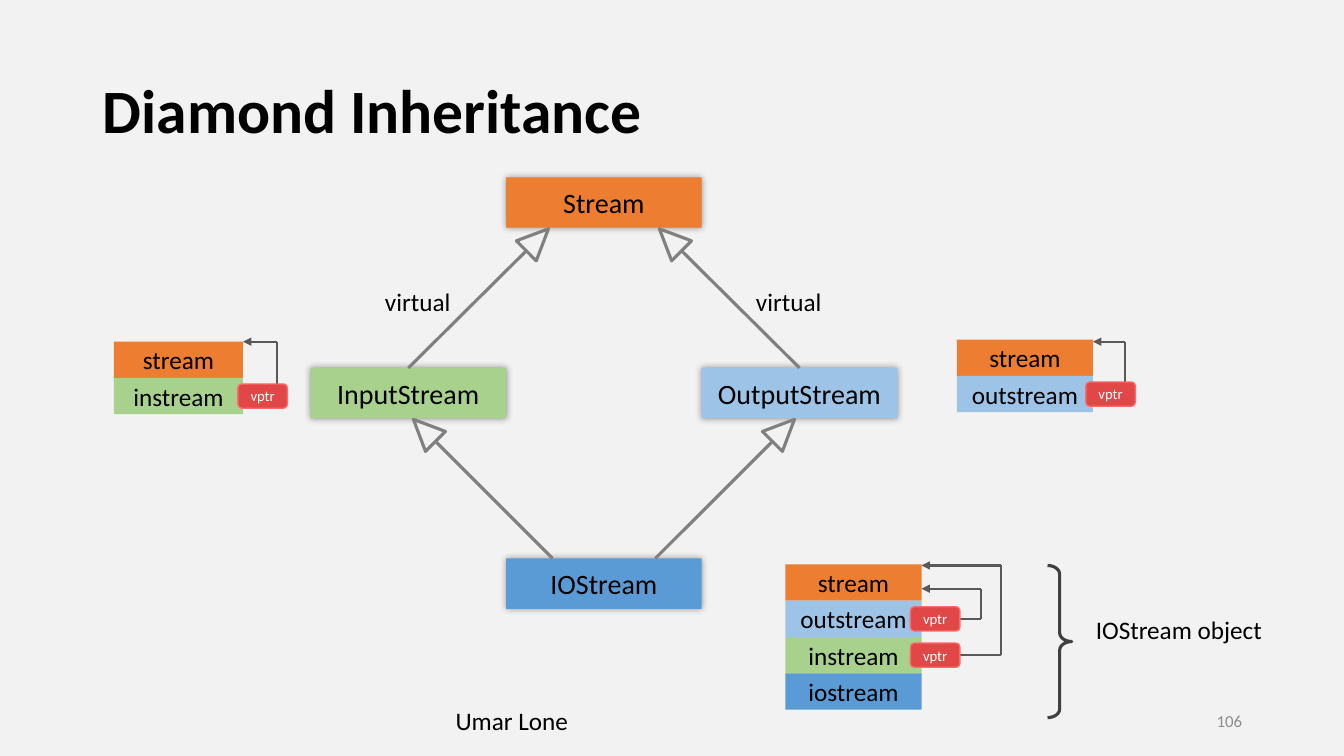
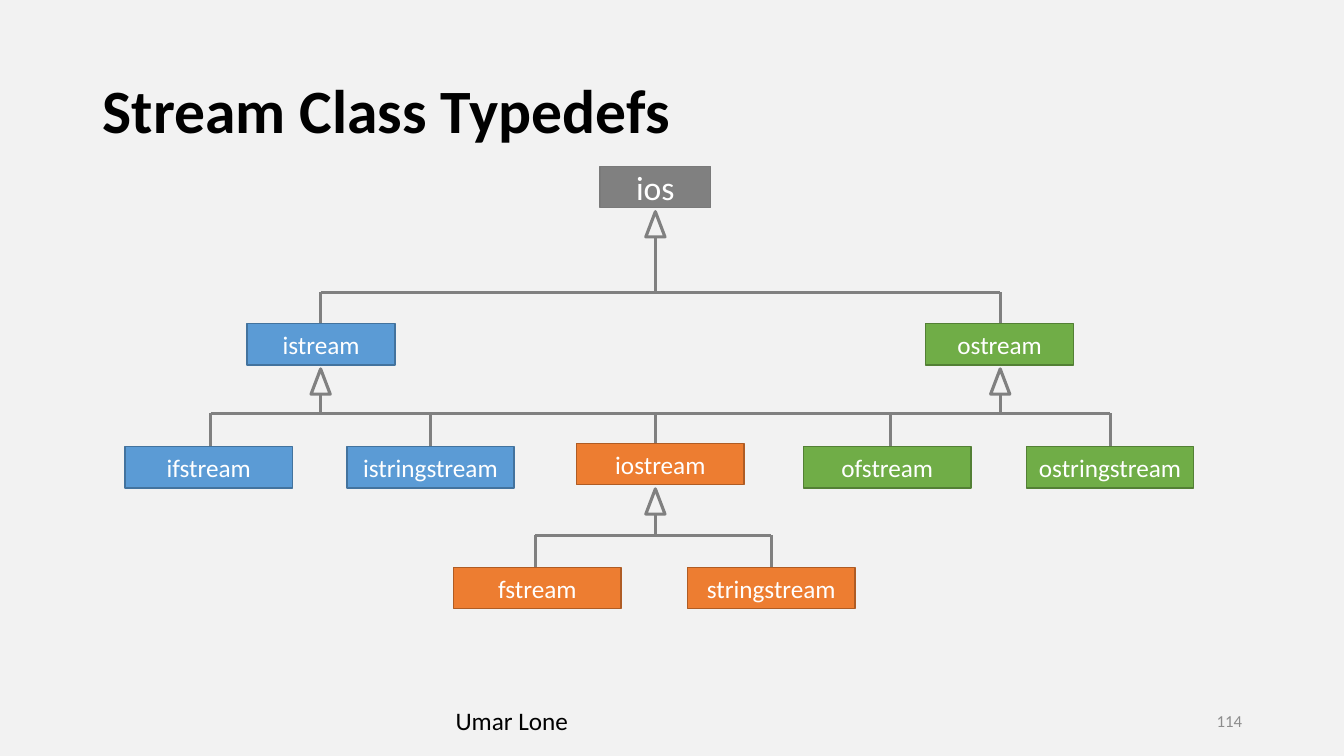
import math

from lxml import etree
from pptx import Presentation
from pptx import util as u
from pptx.dml.color import RGBColor
from pptx.enum import shapes, text
from pptx.oxml import ns

# Shared look
FONT = "Calibri"
BACKGROUND = RGBColor(0xF2, 0xF2, 0xF2)
BLACK = RGBColor(0, 0, 0)
WHITE = RGBColor(0xFF, 0xFF, 0xFF)
NUMBER_GRAY = RGBColor(0x8C, 0x8C, 0x8C)
GRAY = RGBColor(0x80, 0x80, 0x80)
GRAY_EDGE = RGBColor(0x7A, 0x7A, 0x7A)
POINTER_GRAY = RGBColor(0x59, 0x59, 0x59)
BRACE_GRAY = RGBColor(0x40, 0x40, 0x40)
ORANGE = RGBColor(0xED, 0x7D, 0x31)
ORANGE_EDGE = RGBColor(0xAF, 0x5C, 0x24)
BLUE = RGBColor(0x5B, 0x9B, 0xD5)
BLUE_EDGE = RGBColor(0x43, 0x73, 0x9E)
LIGHT_BLUE = RGBColor(0x9D, 0xC3, 0xE6)
GREEN = RGBColor(0x70, 0xAD, 0x47)
GREEN_EDGE = RGBColor(0x53, 0x80, 0x35)
LIGHT_GREEN = RGBColor(0xA9, 0xD1, 0x8E)
RED = RGBColor(0xE1, 0x47, 0x47)
RED_EDGE = RGBColor(0xFF, 0x69, 0x69)
EDGES = {GRAY: GRAY_EDGE, BLUE: BLUE_EDGE, GREEN: GREEN_EDGE, ORANGE: ORANGE_EDGE}
FOOTER = "Umar Lone"
RECTANGLE = shapes.MSO_SHAPE.RECTANGLE
LEFT, CENTER, RIGHT = text.PP_ALIGN.LEFT, text.PP_ALIGN.CENTER, text.PP_ALIGN.RIGHT
TOP, MIDDLE = text.MSO_ANCHOR.TOP, text.MSO_ANCHOR.MIDDLE

# Diamond: classes on a grid of columns and rows
DIAMOND_CENTER, DIAMOND_TOP = 5.99, 1.76
CLASS_WIDTH, CLASS_HEIGHT, CLASS_STEP = 1.94, 0.5, 1.89
CLASSES = [
    ("Stream", 0, 0, ORANGE),
    ("InputStream", -1, 1, LIGHT_GREEN),
    ("OutputStream", 1, 1, LIGHT_BLUE),
    ("IOStream", 0, 2, BLUE),
]
# Arrows as (offset, y) of the child and of the tip, mirrored about the centre
DIAMOND_ARROWS = [((1.94, 3.65), (0.55, 2.27)), ((0.51, 5.54), (1.89, 4.16))]

# Object layouts; pointers are (row, lane x, target y)
ROW_HEIGHT = 0.36
PART_COLORS = {"stream": ORANGE, "instream": LIGHT_GREEN,
               "outstream": LIGHT_BLUE, "iostream": BLUE}
OBJECTS = [
    dict(left=1.13, top=3.39, width=1.28, parts=["stream", "instream"],
         overlap=0.05, pointers=[(1, 2.75, 3.39)]),
    dict(left=9.49, top=3.37, width=1.35, parts=["stream", "outstream"],
         overlap=0.07, pointers=[(1, 11.16, 3.39)]),
    dict(left=7.79, top=5.6, width=1.35,
         parts=["stream", "outstream", "instream", "iostream"],
         overlap=0.11, pointers=[(1, 9.73, 5.84), (2, 9.93, 5.61)]),
]
LABELS = [("virtual", 3.72, 2.79, 0.97), ("virtual", 7.4, 2.79, 0.97),
          ("IOStream object", 10.77, 6.05, 2.17)]

# Class tree: rows of (top, box width, text size, [(name, left, colour)])
TREE_HEIGHT = 0.41
TREE_ROWS = [
    (1.65, 1.1, 24, [("ios", 5.95, GRAY)]),
    (3.21, 1.47, 18, [("istream", 2.45, BLUE), ("ostream", 9.18, GREEN)]),
    (4.43, 1.66, 18, [("ifstream", 1.24, BLUE), ("istringstream", 3.44, BLUE),
                      ("ofstream", 7.97, GREEN), ("ostringstream", 10.18, GREEN)]),
    (4.4, 1.66, 18, [("iostream", 5.72, ORANGE)]),
    (5.63, 1.66, 18, [("fstream", 4.5, ORANGE), ("stringstream", 6.82, ORANGE)]),
]
# Branches: bar height, arrow tip height, arrow columns, child columns, child top
BRANCHES = [
    (2.9, 2.1, [6.5], [3.18, 9.92], 3.21),
    (4.1, 3.66, [3.18, 9.92], [2.09, 4.27, 6.5, 8.83, 11.01], 4.43),
    (5.31, 4.85, [6.5], [5.31, 7.65], 5.63),
]


def write_text(shape, content, size=18, color=BLACK, bold=False, align=LEFT,
               anchor=TOP, wrap=True, spacing=None):
    frame = shape.text_frame
    frame.text = content
    frame.auto_size = text.MSO_AUTO_SIZE.NONE
    frame.word_wrap = wrap
    frame.vertical_anchor = anchor
    paragraph = frame.paragraphs[0]
    paragraph.alignment = align
    if spacing:
        paragraph.line_spacing = spacing
    font = paragraph.runs[0].font
    font.name, font.size, font.bold = FONT, u.Pt(size), bold
    font.color.rgb = color


def add_label(slide, content, left, top, width, height=0.4, **style):
    box = slide.shapes.add_textbox(*map(u.Inches, (left, top, width, height)))
    write_text(box, content, **style)


def add_box(slide, kind, left, top, width, height, fill=None, edge=None,
            weight=1, content=None, **style):
    shape = slide.shapes.add_shape(kind, *map(u.Inches, (left, top, width, height)))
    shape.shadow.inherit = False
    if fill is None:
        shape.fill.background()
    else:
        shape.fill.solid()
        shape.fill.fore_color.rgb = fill
    if edge is None:
        shape.line.fill.background()
    else:
        shape.line.color.rgb = edge
        shape.line.width = u.Pt(weight)
    if content:
        write_text(shape, content, align=CENTER, anchor=MIDDLE, wrap=False, **style)
    return shape


def add_glow(shape):
    """Soft shadow on all sides."""
    effects = shape._element.spPr.find(ns.qn("a:effectLst"))
    shadow = etree.SubElement(effects, ns.qn("a:outerShdw"),
                              blurRad=str(u.Pt(5)), dist="0", algn="ctr")
    color = etree.SubElement(shadow, ns.qn("a:srgbClr"), val="000000")
    etree.SubElement(color, ns.qn("a:alpha"), val="40000")


def add_line(slide, start, end, color=GRAY, weight=2.25, arrow=False):
    line = slide.shapes.add_connector(shapes.MSO_CONNECTOR.STRAIGHT,
                                      *map(u.Inches, (*start, *end)))
    line.line.color.rgb = color
    line.line.width = u.Pt(weight)
    if arrow:
        etree.SubElement(line.line._get_or_add_ln(), ns.qn("a:tailEnd"), type="triangle")
    etree.SubElement(line._element.spPr, ns.qn("a:effectLst"))


def add_inheritance(slide, child, tip, width, height):
    """Line from the child that ends in a hollow triangle at the tip."""
    angle = math.atan2(tip[0] - child[0], child[1] - tip[1])

    def behind(distance):
        return (tip[0] - distance * math.sin(angle), tip[1] + distance * math.cos(angle))

    x, y = behind(height / 2)
    triangle = add_box(slide, shapes.MSO_SHAPE.ISOSCELES_TRIANGLE, x - width / 2,
                       y - height / 2, width, height, edge=GRAY, weight=2.25)
    triangle.rotation = math.degrees(angle)
    add_line(slide, child, behind(height))


def add_object(slide, left, top, width, parts, overlap, pointers):
    """Stack of object parts with vptr tags that point at the stream part."""
    right = left + width
    for row, part in enumerate(parts):
        add_box(slide, RECTANGLE, left, top + row * ROW_HEIGHT, width, ROW_HEIGHT,
                fill=PART_COLORS[part], content=part)
    tag_width, tag_height = 0.49, 0.24
    for row, lane, target in pointers:
        tag_left, tag_top = right - overlap, top + row * ROW_HEIGHT + 0.06
        tag_right, tag_middle = tag_left + tag_width, tag_top + tag_height / 2
        if lane > tag_right:
            route = [(tag_right, tag_middle), (lane, tag_middle)]
        else:
            route = [(lane, tag_top)]
        route += [(lane, target), (right, target)]
        for start, end in zip(route, route[1:]):
            add_line(slide, start, end, POINTER_GRAY, 1.5, arrow=end == route[-1])
        add_box(slide, shapes.MSO_SHAPE.ROUNDED_RECTANGLE, tag_left, tag_top,
                tag_width, tag_height, fill=RED, edge=RED_EDGE,
                content="vptr", size=10.5, color=WHITE)


def new_slide(presentation, title, number):
    slide = presentation.slides.add_slide(presentation.slide_layouts[5])
    write_text(slide.shapes.title, title, size=44, bold=True, anchor=MIDDLE, spacing=0.9)
    add_label(slide, FOOTER, 4.42, 6.95, 4.5)
    add_label(slide, str(number), 9.42, 6.95, 3, size=12, color=NUMBER_GRAY,
              align=RIGHT, anchor=MIDDLE)
    return slide


def build_diamond(presentation):
    slide = new_slide(presentation, "Diamond Inheritance", 106)
    for name, column, row, color in CLASSES:
        box = add_box(slide, RECTANGLE,
                      DIAMOND_CENTER + (column - 0.5) * CLASS_WIDTH,
                      DIAMOND_TOP + row * CLASS_STEP, CLASS_WIDTH, CLASS_HEIGHT,
                      fill=color, content=name, size=20)
        add_glow(box)
    for side in (-1, 1):
        for ends in DIAMOND_ARROWS:
            child, tip = [(DIAMOND_CENTER + side * x, y) for x, y in ends]
            add_inheritance(slide, child, tip, 0.28, 0.31)
    for layout in OBJECTS:
        add_object(slide, **layout)
    brace = add_box(slide, shapes.MSO_SHAPE.RIGHT_BRACE, 10.39, 5.61, 0.24, 1.51,
                    edge=BRACE_GRAY, weight=2.25)
    brace.adjustments[0] = 0.36
    for label in LABELS:
        add_label(slide, *label)


def build_tree(presentation):
    slide = new_slide(presentation, "Stream Class Typedefs", 114)
    for bar, tip, parents, children, child_top in BRANCHES:
        add_line(slide, (children[0], bar), (children[-1], bar))
        for x in parents:
            add_inheritance(slide, (x, bar), (x, tip), 0.19, 0.25)
        for x in children:
            add_line(slide, (x, bar), (x, child_top))
    for top, width, size, boxes in TREE_ROWS:
        for name, left, color in boxes:
            add_box(slide, RECTANGLE, left, top, width, TREE_HEIGHT, fill=color,
                    edge=EDGES[color], content=name, size=size, color=WHITE)


def main():
    presentation = Presentation()
    presentation.slide_width, presentation.slide_height = u.Inches(13.33), u.Inches(7.5)
    # Background and title place come from the master and the layout
    fill = presentation.slide_master.background.fill
    fill.solid()
    fill.fore_color.rgb = BACKGROUND
    title = presentation.slide_layouts[5].placeholders[0]
    title.left, title.top, title.width, title.height = map(u.Inches, (0.92, 0.4, 11.5, 1.45))
    build_diamond(presentation)
    build_tree(presentation)
    presentation.save("out.pptx")


if __name__ == "__main__":
    main()
